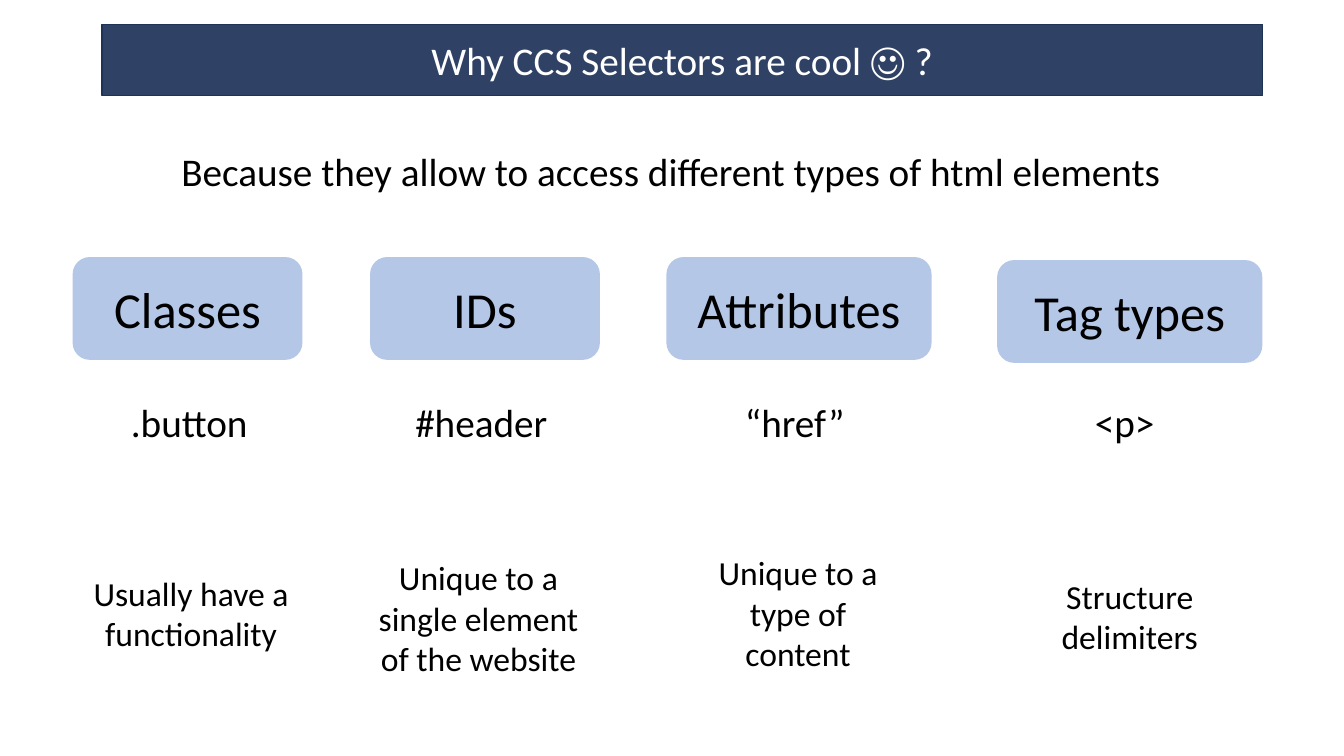
from lxml.etree import SubElement
from pptx import Presentation
from pptx.dml.color import RGBColor
from pptx.enum.shapes import MSO_SHAPE
from pptx.enum.text import MSO_ANCHOR, MSO_AUTO_SIZE, PP_ALIGN
from pptx.oxml.ns import qn
from pptx.util import Inches, Pt

COLORS = {
    "banner": "2F4164",
    "banner_edge": "1E3256",
    "card": "B4C7E7",
    "text": "000000",
    "light": "FFFFFF",
}


def write(shape, text, size, color="text", align=PP_ALIGN.CENTER,
          anchor=MSO_ANCHOR.MIDDLE, wrap=True):
    frame = shape.text_frame
    frame.word_wrap = wrap
    frame.auto_size = MSO_AUTO_SIZE.NONE
    frame.vertical_anchor = anchor
    paragraph = frame.paragraphs[0]
    paragraph.alignment = align
    run = paragraph.add_run()
    run.text = text
    run.font.name = "Calibri"
    run.font.size = Pt(size)
    run.font.color.rgb = RGBColor.from_string(COLORS[color])


def add_label(left, top, width, height, text, size, align, wrap=True):
    label = slide.shapes.add_textbox(
        Inches(left), Inches(top), Inches(width), Inches(height))
    write(label, text, size, align=align, anchor=MSO_ANCHOR.TOP, wrap=wrap)


presentation = Presentation()
presentation.slide_width = Inches(13.33)
presentation.slide_height = Inches(7.5)
slide = presentation.slides.add_slide(presentation.slide_layouts[5])

# Title banner: the title placeholder with rounded corners
banner = slide.shapes.title
banner.left, banner.top = Inches(1.01), Inches(0.24)
banner.width, banner.height = Inches(11.51), Inches(0.71)
outline = SubElement(banner.element.spPr, qn("a:prstGeom"), prst="roundRect")
SubElement(outline, qn("a:avLst"))
banner.fill.solid()
banner.fill.fore_color.rgb = RGBColor.from_string(COLORS["banner"])
banner.line.color.rgb = RGBColor.from_string(COLORS["banner_edge"])
banner.line.width = Pt(1)
write(banner, "Why CCS Selectors are cool ☺ ?", 28, color="light")

# Answer to the title
add_label(1.7, 1.41, 10.02, 0.57,
          "Because they allow to access different types of html elements",
          28, PP_ALIGN.LEFT, wrap=False)

# Selector columns: card (name, left, top, width), example (text, left, width),
# use (text, left, top, height)
selectors = [
    (("Classes", 0.72, 2.55, 2.28), (".button", 1.2, 1.46),
     ("Usually have a functionality", 0.79, 5.63, 0.91)),
    (("IDs", 3.67, 2.55, 2.28), ("#header", 4.02, 1.62),
     ("Unique to a single element of the website", 3.64, 5.48, 1.31)),
    (("Attributes", 6.61, 2.55, 2.63), ("“href”", 7.29, 1.27),
     ("Unique to a type of content", 6.81, 5.43, 1.31)),
    (("Tag types", 9.89, 2.58, 2.63), ("<p>", 10.76, 0.92),
     ("Structure delimiters", 10.1, 5.66, 0.91)),
]
for card_spec, example_spec, use_spec in selectors:
    name, left, top, width = card_spec
    card = slide.shapes.add_shape(
        MSO_SHAPE.ROUNDED_RECTANGLE,
        Inches(left), Inches(top), Inches(width), Inches(1.02))
    card.shadow.inherit = False
    card.fill.solid()
    card.fill.fore_color.rgb = RGBColor.from_string(COLORS["card"])
    card.line.fill.background()
    write(card, name, 36)

    example, left, width = example_spec
    add_label(left, 3.9, width, 0.57, example, 28, PP_ALIGN.LEFT)

    use, left, top, height = use_spec
    add_label(left, top, 2.21, height, use, 24, PP_ALIGN.CENTER)

presentation.save("out.pptx")
